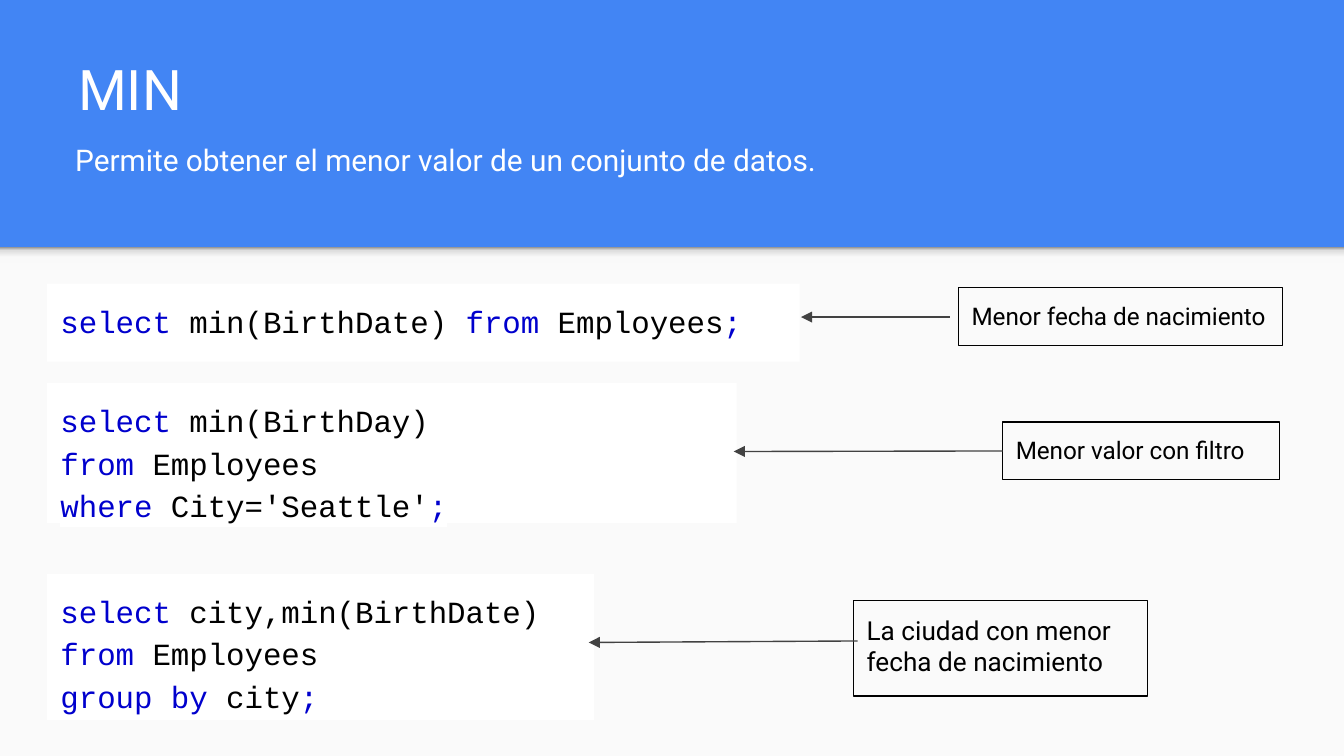
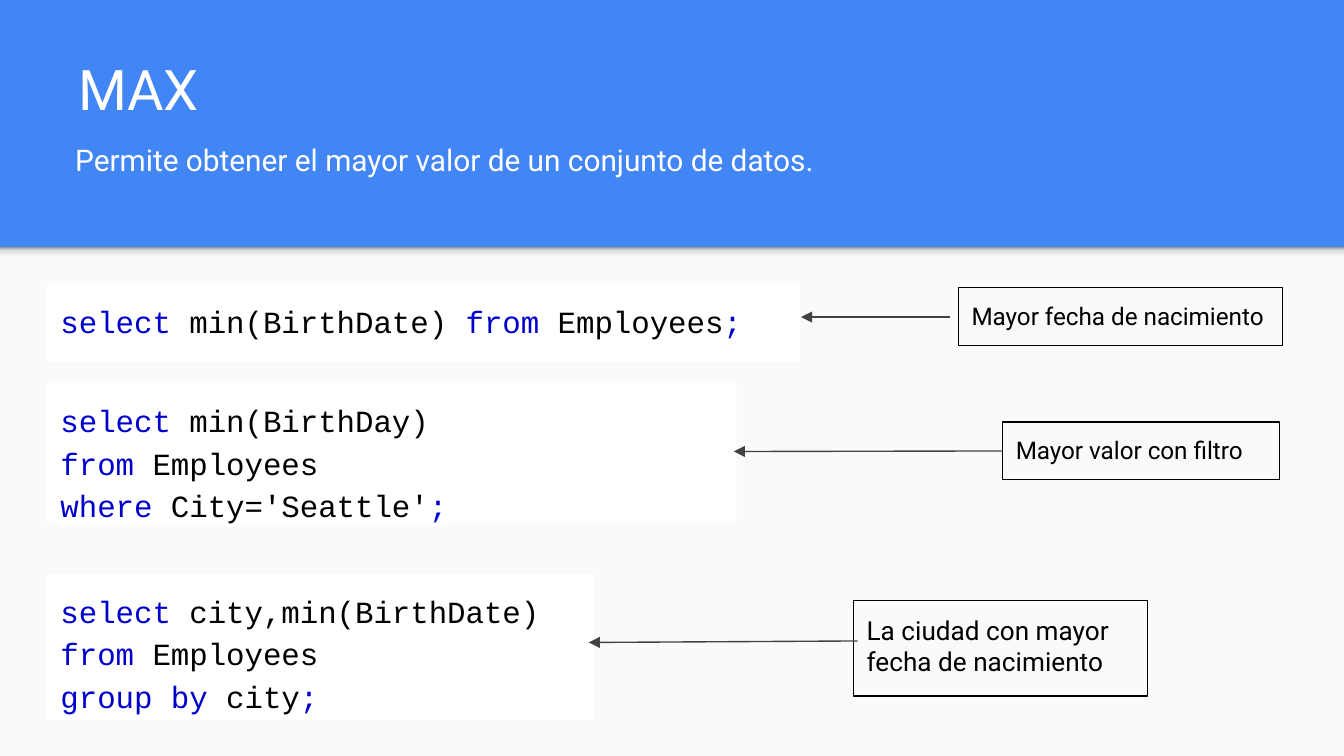
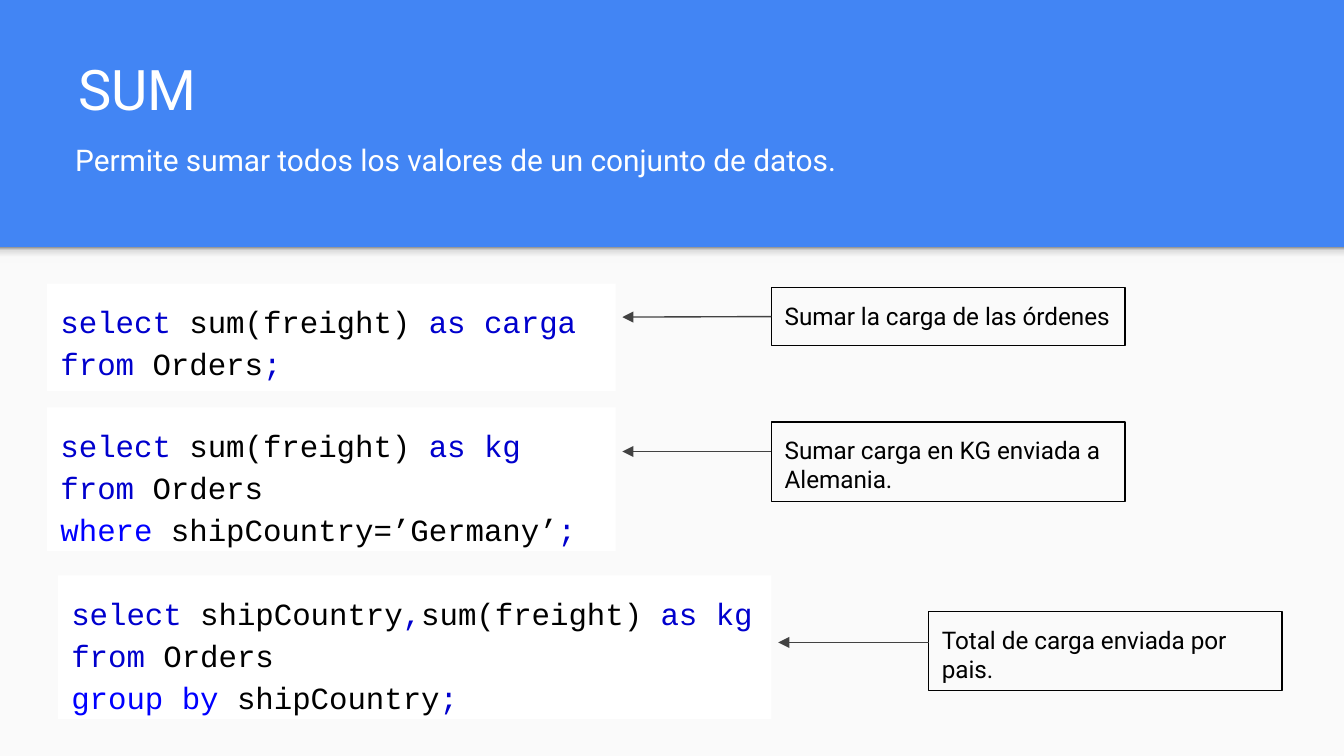
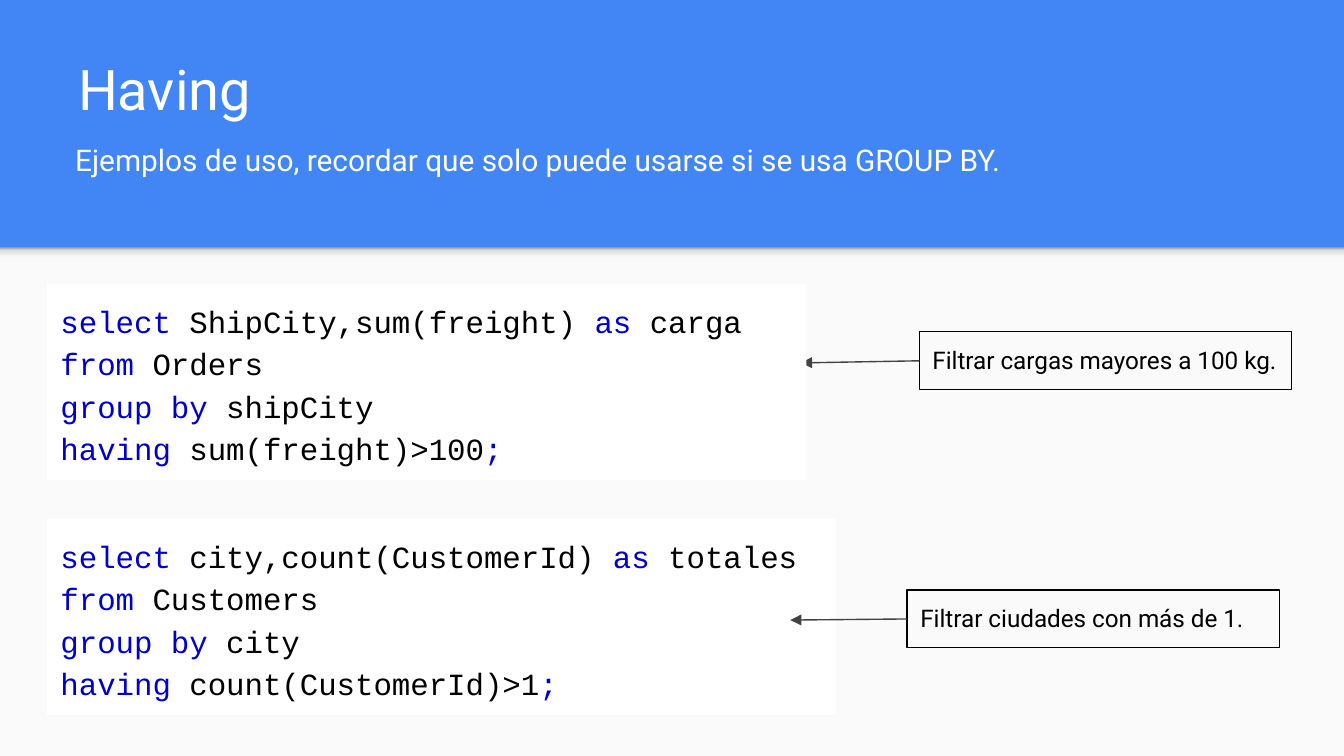
from copy import deepcopy
from dataclasses import dataclass
from typing import Any

from lxml import etree
from pptx import Presentation
from pptx import util as u
from pptx.dml import color as clr
from pptx.enum import shapes, text
from pptx.oxml import ns, parse_xml

Pt = u.Pt
HUES = {
    "blue": "4285F4", "panel": "FAFAFA", "white": "FFFFFF", "black": "000000",
    "key": "0000CD", "bright": "0000FF", "arrow": "424242",
}
SHADE = ((0, "F9F9F9"), (36, "F9F9F9"), (80, "DEDEDE"), (100, "999999"))
WIDTH, HEIGHT, TOP = 720, 405, 132.5

# Shared formats
PAD = Pt(7.2)
FRAME = {
    "margin_left": PAD, "margin_right": PAD, "margin_top": PAD,
    "margin_bottom": PAD, "word_wrap": True,
    "auto_size": text.MSO_AUTO_SIZE.NONE,
    "vertical_anchor": text.MSO_ANCHOR.TOP,
}
HEAD = {**FRAME, "vertical_anchor": text.MSO_ANCHOR.BOTTOM}
PARA = {"alignment": text.PP_ALIGN.LEFT, "space_before": Pt(0), "line_spacing": 1.0}
CODE = {**PARA, "line_spacing": 1.15}
ROBOTO = {"name": "Roboto", "bold": False}
MONO = {"name": "Courier New", "size": Pt(16.5), "bold": False}


@dataclass
class Area:
    x: float
    y: float
    w: float
    h: float


@dataclass
class Block:
    """Code lines: parts split by | alternate keyword and plain colour;
    a leading ~ makes the keywords bright."""
    area: Area
    lines: tuple[str, ...]
    after: float = 0


@dataclass
class Note:
    words: str
    area: Area
    tip: tuple[float, float]
    tail: tuple[float, float]
    size: float = 13


@dataclass
class Page:
    title: str
    lead: str
    span: float
    blocks: tuple[Block, ...]
    notes: tuple[Note, ...]


def put(item: Any, form: dict[str, Any]) -> None:
    for key, val in form.items():
        setattr(item, key, val)


def rgb(hue: str) -> clr.RGBColor:
    return clr.RGBColor.from_string(HUES[hue])


def place(item: Any, area: Area) -> None:
    put(item, {"left": Pt(area.x), "top": Pt(area.y),
               "width": Pt(area.w), "height": Pt(area.h)})


def write(item: Any, words: str, size: float, hue: str, frame: dict[str, Any]) -> None:
    put(item.text_frame, frame)
    para = item.text_frame.paragraphs[0]
    put(para, PARA)
    run = para.add_run()
    run.text = words
    put(run.font, {**ROBOTO, "size": Pt(size)})
    run.font.color.rgb = rgb(hue)


def rect(slide: Any, area: Area) -> Any:
    box = slide.shapes.add_shape(
        shapes.MSO_SHAPE.RECTANGLE, *map(Pt, (area.x, area.y, area.w, area.h)))
    box.shadow.inherit = False
    return box


def dress(slide: Any) -> None:
    """Move the panel and its shaded edge into the shared layout."""
    lay = slide.slide_layout
    lay.background.fill.solid()
    lay.background.fill.fore_color.rgb = rgb("blue")
    panel = rect(slide, Area(0, TOP, WIDTH, HEIGHT - TOP))
    panel.fill.solid()
    panel.fill.fore_color.rgb = rgb("panel")
    edge = rect(slide, Area(0, TOP, WIDTH, 8.6))
    stops = "".join(f'<a:gs pos="{pos * 1000}"><a:srgbClr val="{hue}"/></a:gs>'
                    for pos, hue in SHADE)
    edge.element.spPr.insert(2, parse_xml(
        f'<a:gradFill {ns.nsdecls("a")}><a:gsLst>{stops}</a:gsLst>'
        '<a:lin ang="16200000" scaled="0"/></a:gradFill>'))
    for spot, item in enumerate((panel, edge), 2):
        item.line.fill.background()
        lay.shapes.element.insert(spot, item.element)


def code(hold: Any, block: Block) -> None:
    place(hold, block.area)
    hold.fill.solid()
    hold.fill.fore_color.rgb = rgb("white")
    put(hold.text_frame, FRAME)
    para = hold.text_frame.paragraphs[0]
    props = para._p.get_or_add_pPr()
    props.set("marL", "0")
    props.set("indent", "0")
    etree.SubElement(props, ns.qn("a:buNone"))
    put(para, {**CODE, "space_after": Pt(block.after)})
    for row, line in enumerate(block.lines):
        if row:
            last = para.runs[-1]._r.rPr
            para.add_line_break()
            para._p[-1].append(deepcopy(last))
        key = "bright" if line.startswith("~") else "key"
        for spot, part in enumerate(line.lstrip("~").split("|")):
            run = para.add_run()
            run.text = part
            # The closing semicolon keeps the usual keyword colour
            hue = "black" if spot % 2 else "key" if spot else key
            run.font.color.rgb = rgb(hue)
            mark = etree.SubElement(run._r.rPr, ns.qn("a:highlight"))
            etree.SubElement(mark, ns.qn("a:srgbClr"), val=HUES["white"])
            put(run.font, MONO)


def remark(slide: Any, note: Note) -> None:
    area = note.area
    box = rect(slide, area)
    box.fill.background()
    box.line.color.rgb = rgb("black")
    box.line.width = Pt(0.75)
    write(box, note.words, note.size, "black", FRAME)
    # Arrow from the note to its code
    link = slide.shapes.add_connector(
        shapes.MSO_CONNECTOR.STRAIGHT, *map(Pt, note.tip + note.tail))
    x, y = note.tail
    if abs(x - area.x) < 1 and abs(y - area.y - area.h / 2) < 1:
        link.end_connect(box, 1)
    link.line.color.rgb = rgb("arrow")
    link.line.width = Pt(0.75)
    etree.SubElement(link.line._get_or_add_ln(), ns.qn("a:headEnd"), type="triangle")
    etree.SubElement(link.element.spPr, ns.qn("a:effectLst"))


def draw(slide: Any, page: Page) -> None:
    title, lead, *holds = slide.placeholders
    place(title, Area(34.6, 26.6, 224.6, 46.1))
    write(title, page.title, 30, "white", HEAD)
    place(lead, Area(33.1, 71.3, page.span, 31))
    write(lead, page.lead, 16, "white", HEAD)
    for hold, block in zip(holds, page.blocks):
        code(hold, block)
    for hold in holds[len(page.blocks):]:
        hold.element.getparent().remove(hold.element)
    for note in page.notes:
        remark(slide, note)
    # The first code block covers the tip of its arrow
    slide.shapes.element.append(holds[0].element)


def bound(name: str, word: str) -> Page:
    """Page for MIN or MAX, which differ only in two words."""
    cap = word.capitalize()
    return Page(
        name, f"Permite obtener el {word} valor de un conjunto de datos.", 421.2,
        (Block(Area(25.2, 152, 403.2, 41.8),
               ("select |min(BirthDate) |from |Employees|;",), 16),
         Block(Area(25.2, 205.2, 369.4, 74.9),
               ("select |min(BirthDay)", "from |Employees",
                "where |City='Seattle'|;")),
         Block(Area(25.2, 307.4, 293, 78.5),
               ("select |city,min(BirthDate)", "from |Employees",
                "group by |city|;"))),
        (Note(f"{cap} fecha de nacimiento", Area(513.4, 154.1, 173.5, 31),
              (429.1, 169.9), (509, 169.9)),
         Note(f"{cap} valor con filtro", Area(537.1, 226.1, 148.3, 31),
              (393.1, 241.9), (537.1, 241.2)),
         Note(f"La ciudad con {word} fecha de nacimiento",
              Area(457.2, 321.8, 157.7, 51.1),
              (315.4, 344.2), (459.4, 343.4), 14)))


PAGES = (
    bound("MIN", "menor"),
    bound("MAX", "mayor"),
    Page(
        "SUM", "Permite sumar todos los valores de un conjunto de datos.", 436.3,
        (Block(Area(25.2, 152, 304.6, 57.6),
               ("select |sum(freight)| as carga", "from |Orders|;"), 16),
         Block(Area(25.2, 218.2, 304.6, 77),
               ("select |sum(freight)| as kg", "from |Orders",
                "~where |shipCountry=’Germany’|;"), 16),
         Block(Area(31, 308.2, 382.3, 77),
               ("select |shipCountry|,|sum(freight)| as kg", "from |Orders",
                "~group by |shipCountry|;"), 16)),
        (Note("Sumar la carga de las órdenes", Area(413.3, 154.1, 189.4, 31),
              (333.4, 169.9), (413.3, 169.9)),
         Note("Sumar carga en KG enviada a Alemania.",
              Area(413.3, 226.1, 189.4, 42.5), (333.4, 241.9), (413.3, 241.9)),
         Note("Total de carga enviada por pais.",
              Area(497.5, 327.6, 189.4, 42.5), (416.9, 344.2), (497.5, 344.2)))),
    Page(
        "Having",
        "Ejemplos de uso, recordar que solo puede usarse si se usa GROUP BY.", 532.8,
        (Block(Area(25.2, 152, 406.8, 105.1),
               ("select |ShipCity,sum(freight)| as |carga", "from |Orders",
                "group by |shipCity", "having |sum(freight)>100|;")),
         Block(Area(25.2, 277.9, 422.6, 105.1),
               ("select |city,count(CustomerId)| as |totales", "from |Customers",
                "group by |city", "having |count(CustomerId)>1|;"))),
        (Note("Filtrar cargas mayores a 100 kg.", Area(492.5, 177.8, 199.4, 31),
              (429.1, 194.4), (492.5, 193.7)),
         Note("Filtrar ciudades con más de 1.", Area(486, 316.1, 199.4, 31),
              (423.4, 332.2), (486, 331.6)))),
)


def main() -> None:
    deck = Presentation()
    put(deck, {"slide_width": Pt(WIDTH), "slide_height": Pt(HEIGHT)})
    lay = deck.slide_layouts.get_by_name("Comparison")
    for num, page in enumerate(PAGES):
        slide = deck.slides.add_slide(lay)
        if num == 0:
            dress(slide)
        draw(slide, page)
    deck.save("out.pptx")


if __name__ == "__main__":
    main()
